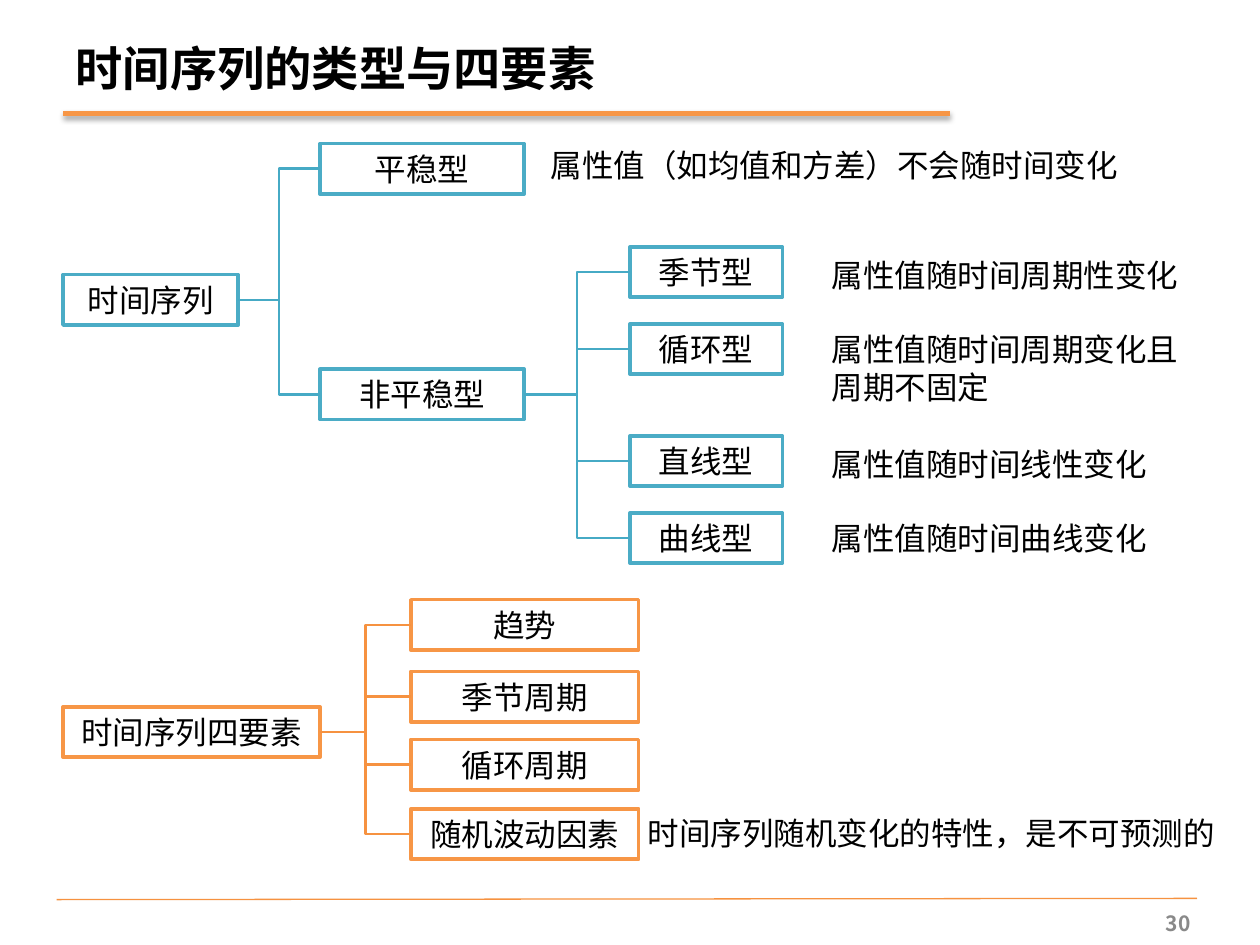
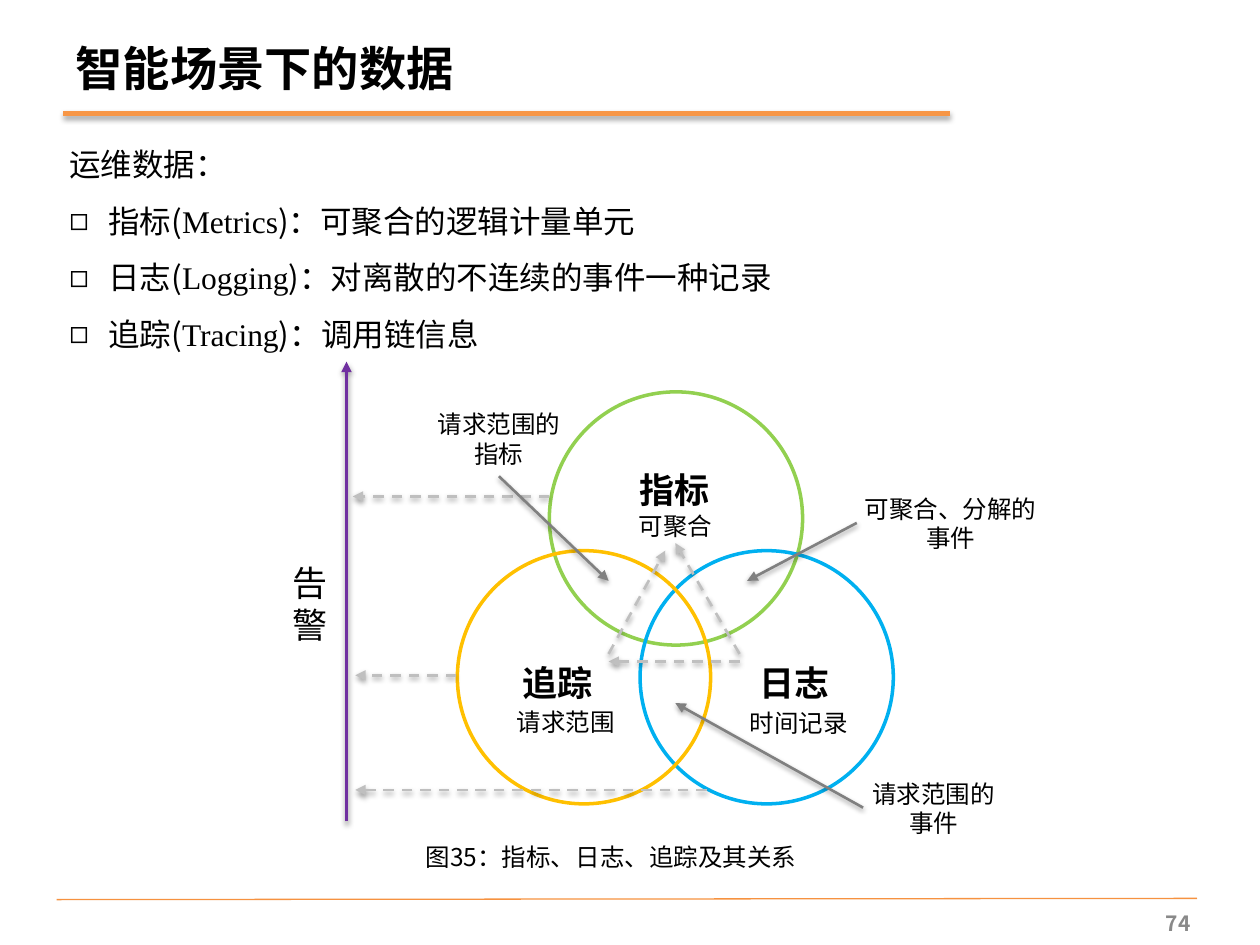
from collections import namedtuple
from dataclasses import dataclass

from lxml.etree import SubElement
from pptx import Presentation
from pptx.dml.color import RGBColor
from pptx.enum.dml import MSO_LINE
from pptx.enum.shapes import MSO_CONNECTOR, MSO_SHAPE
from pptx.enum.text import MSO_ANCHOR, MSO_AUTO_SIZE, PP_ALIGN
from pptx.oxml.ns import qn
from pptx.util import Inches, Pt

LEFT, MID, RIGHT = PP_ALIGN.LEFT, PP_ALIGN.CENTER, PP_ALIGN.RIGHT
TOP, CORE = MSO_ANCHOR.TOP, MSO_ANCHOR.MIDDLE
RECT, OVAL = MSO_SHAPE.RECTANGLE, MSO_SHAPE.OVAL
LINE, ELBOW = MSO_CONNECTOR.STRAIGHT, MSO_CONNECTOR.ELBOW
DASH = MSO_LINE.DASH
FIXED = MSO_AUTO_SIZE.NONE

Box = namedtuple("Box", "x y w h")
Skin = namedtuple("Skin", "edge wire")


@dataclass(frozen=True)
class Theme:
    sans: str = "Noto Sans CJK SC"
    serif: str = "Times New Roman"
    ink: str = "000000"
    paper: str = "FFFFFF"
    page: str = "898989"
    teal: Skin = Skin("4BACC6", "46AAC5")
    orange: Skin = Skin("F79646", "F69240")
    green: str = "92D050"
    blue: str = "00B0F0"
    gold: str = "FFC000"
    purple: str = "7030A0"
    pale: str = "BFBFBF"
    grey: str = "808080"
    head: int = 27
    label: int = 20
    body: int = 18
    note: int = 14
    foot: int = 12


T = Theme()


def rgb(code):
    return RGBColor.from_string(code)


def place(shape, box):
    shape.left, shape.top, shape.width, shape.height = map(Inches, box)


def shift(area, x, y, w, h):
    return Box(area.x + x, area.y + y, w, h)


def add_run(para, text, size, bold=False, hue=T.ink, face=T.sans):
    run = para.add_run()
    run.text = text
    font = run.font
    font.size, font.bold = Pt(size), bold
    font.color.rgb = rgb(hue)
    font.name = face
    SubElement(font._element, qn("a:ea"), typeface=T.sans)


def set_frame(shape, inset=0.05, anchor=TOP, wrap=True):
    frame = shape.text_frame
    frame.auto_size = FIXED
    frame.word_wrap = wrap
    frame.vertical_anchor = anchor
    frame.margin_left = frame.margin_right = Inches(inset)
    frame.margin_top = frame.margin_bottom = Inches(inset)
    return frame


def add_text(slide, box, text, size, align=LEFT, anchor=TOP, inset=0.05,
             wrap=True, bold=False, hue=T.ink):
    shape = slide.shapes.add_textbox(*map(Inches, box))
    para = set_frame(shape, inset, anchor, wrap).paragraphs[0]
    para.alignment = align
    add_run(para, text, size, bold, hue)
    return para


def set_line(wire, hue, width, glow=None):
    wire.line.color.rgb = rgb(hue)
    wire.line.width = Pt(width)
    effect = SubElement(wire._element.spPr, qn("a:effectLst"))
    if glow:
        dist, alpha = glow
        shade = SubElement(effect, qn("a:outerShdw"), blurRad=str(Pt(3)),
                           dist=str(Pt(dist)), dir="5400000", rotWithShape="0")
        color = SubElement(shade, qn("a:srgbClr"), val=T.ink)
        SubElement(color, qn("a:alpha"), val=str(alpha * 1000))


def add_line(slide, start, end, hue, width, glow=None):
    wire = slide.shapes.add_connector(LINE, *map(Inches, (*start, *end)))
    set_line(wire, hue, width, glow)
    return wire


def add_arrow(slide, area, start, end, hue, width=1.5, dash=False):
    start, end = [(area.x + x, area.y + y) for x, y in (start, end)]
    wire = add_line(slide, start, end, hue, width, (1.6, 38))
    if dash:
        wire.line.dash_style = DASH
    SubElement(wire.line._get_or_add_ln(), qn("a:tailEnd"), type="triangle")


def new_slide(deck, layout, title, page):
    slide = deck.slides.add_slide(deck.slide_layouts[layout])
    add_line(slide, (0.5, 0.9), (7.54, 0.9), T.orange.edge, 3, (1.8, 35))
    add_line(slide, (0.45, 7.14), (9.5, 7.13), T.orange.wire, 0.75)
    head = slide.shapes.title
    place(head, Box(0.5, 0.26, 7.04, 0.56))
    frame = head.text_frame
    frame.auto_size, frame.vertical_anchor = FIXED, CORE
    para = frame.paragraphs[0]
    para.alignment = LEFT
    add_run(para, title, T.head, True)
    add_text(slide, Box(9.18, 7.18, 0.32, 0.3), page, T.foot, RIGHT, CORE,
             wrap=False, bold=True, hue=T.page)
    return slide


def add_node(slide, box, text, skin):
    node = slide.shapes.add_shape(RECT, *map(Inches, box))
    node.shadow.inherit = False
    node.fill.solid()
    node.fill.fore_color.rgb = rgb(T.paper)
    node.line.color.rgb = rgb(skin.edge)
    node.line.width = Pt(2)
    para = set_frame(node, anchor=CORE).paragraphs[0]
    para.alignment = MID
    add_run(para, text, T.body)
    return node


def add_kids(slide, root, area, x, width, kids, skin):
    nodes = []
    for y, text in kids:
        node = add_node(slide, shift(area, x, y, width, 0.4), text, skin)
        wire = slide.shapes.add_connector(ELBOW, 0, 0, 0, 0)
        wire.begin_connect(root, 3)
        wire.end_connect(node, 1)
        set_line(wire, skin.wire, 1.5)
        nodes.append(node)
    return nodes


def draw_types(slide, area):
    root = add_node(slide, shift(area, 0, 1.07, 1.39, 0.4), "时间序列", T.teal)
    kinds = [(0.03, "平稳型"), (1.82, "非平稳型")]
    forms = [(0.85, "季节型"), (1.46, "循环型"), (2.35, "直线型"), (2.96, "曲线型")]
    loose = add_kids(slide, root, area, 2.04, 1.62, kinds, T.teal)[1]
    add_kids(slide, loose, area, 4.5, 1.21, forms, T.teal)
    notes = [
        (3.82, 0, 5.18, "属性值（如均值和方差）不会随时间变化"),
        (6.05, 0.87, 2.95, "属性值随时间周期性变化"),
        (6.05, 1.46, 2.95, "属性值随时间周期变化且周期不固定"),
        (6.05, 2.37, 2.95, "属性值随时间线性变化"),
        (6.05, 2.96, 2.95, "属性值随时间曲线变化"),
    ]
    for x, y, width, text in notes:
        add_text(slide, shift(area, x, y, width, 0.4), text, T.body)


def draw_parts(slide, area):
    root = add_node(slide, shift(area, 0, 0.85, 2.04, 0.4), "时间序列四要素", T.orange)
    parts = [(0, "趋势"), (0.57, "季节周期"), (1.11, "循环周期"), (1.66, "随机波动因素")]
    add_kids(slide, root, area, 2.76, 1.81, parts, T.orange)
    add_text(slide, shift(area, 4.59, 1.65, 4.74, 0.4),
             "时间序列随机变化的特性，是不可预测的", T.body)


def fill_list(slide, box):
    body = slide.placeholders[1]
    place(body, box)
    frame = set_frame(body)
    rows = [
        ("运维数据：",),
        ("指标(", "Metrics", ")：可聚合的逻辑计量单元"),
        ("日志(", "Logging", ")：对离散的不连续的事件一种记录"),
        ("追踪(", "Tracing", ")：调用链信息"),
    ]
    for i, row in enumerate(rows):
        para = frame.add_paragraph() if i else frame.paragraphs[0]
        props = para._p.get_or_add_pPr()
        indent = Inches(0.31) if i else 0
        props.set("marL", str(indent))
        props.set("indent", str(-indent))
        if i:
            SubElement(props, qn("a:buChar"), char="◻")
        else:
            SubElement(props, qn("a:buNone"))
        para.alignment = LEFT
        para.line_spacing = 1.5
        para.space_before = Pt(0)
        for j, text in enumerate(row):
            add_run(para, text, T.body, face=T.serif if j == 1 else T.sans)


def draw_rings(slide, area):
    size = 2.01
    rings = [(2.09, 0.24, T.green), (2.81, 1.5, T.blue), (1.36, 1.5, T.gold)]
    for x, y, hue in rings:
        ring = slide.shapes.add_shape(OVAL, *map(Inches, shift(area, x, y, size, size)))
        ring.shadow.inherit = False
        ring.fill.background()
        ring.line.color.rgb = rgb(hue)
        ring.line.width = Pt(2)
    names = [
        (2.35, 0.59, 1.47, 0.9, "指标"),
        (3.43, 2.02, 1.21, 1.1, "日志"),
        (1.55, 2.02, 1.21, 1.1, "追踪"),
    ]
    for *spot, text in names:
        para = add_text(slide, shift(area, *spot), text, T.label, MID, CORE, 0, bold=True)
        para.line_spacing = 0.9


def draw_arrows(slide, area):
    dashed = [
        ((3.6, 2.32), (3.09, 1.44)),
        ((3.6, 2.38), (2.56, 2.38)),
        ((2.56, 2.32), (3.01, 1.5)),
        ((1.35, 2.49), (0.55, 2.49)),
        ((2.09, 1.07), (0.53, 1.07)),
        ((3.34, 3.4), (0.55, 3.4)),
    ]
    for start, end in dashed:
        add_arrow(slide, area, start, end, T.pale, dash=True)
    add_arrow(slide, area, (0.48, 3.65), (0.48, 0), T.purple, 2)
    callouts = [
        ((1.69, 0.91), (2.56, 1.74)),
        ((4.58, 3.54), (3.09, 2.71)),
        ((4.53, 1.28), (3.66, 1.74)),
    ]
    for start, end in callouts:
        add_arrow(slide, area, start, end, T.grey)


def draw_venn(slide, area):
    draw_rings(slide, area)
    draw_arrows(slide, area)
    add_text(slide, shift(area, 0, 1.54, 0.33, 0.77), "告警", T.label)
    notes = [
        (0.39, 3.76, 4.38, 0.34, "图35：指标、日志、追踪及其关系"),
        (2.62, 1.14, 0.94, 0.34, "可聚合"),
        (3.6, 2.7, 0.94, 0.34, "时间记录"),
        (1.75, 2.69, 0.94, 0.34, "请求范围"),
        (1.13, 0.33, 1.12, 0.57, "请求范围的指标"),
        (4.58, 3.26, 1.12, 0.57, "请求范围的事件"),
        (4.53, 1, 1.49, 0.57, "可聚合、分解的事件"),
    ]
    for *spot, text in notes:
        add_text(slide, shift(area, *spot), text, T.note, MID)


def main():
    deck = Presentation()
    deck.slide_width, deck.slide_height = Inches(10), Inches(7.5)
    series = new_slide(deck, 5, "时间序列的类型与四要素", "30")
    draw_types(series, Box(0.5, 1.11, 9, 3.36))
    draw_parts(series, Box(0.5, 4.76, 9.33, 2.06))
    data = new_slide(deck, 1, "智能场景下的数据", "74")
    fill_list(data, Box(0.5, 0.95, 9, 1.92))
    draw_venn(data, Box(2.27, 2.87, 6.02, 4.1))
    deck.save("out.pptx")


if __name__ == "__main__":
    main()
